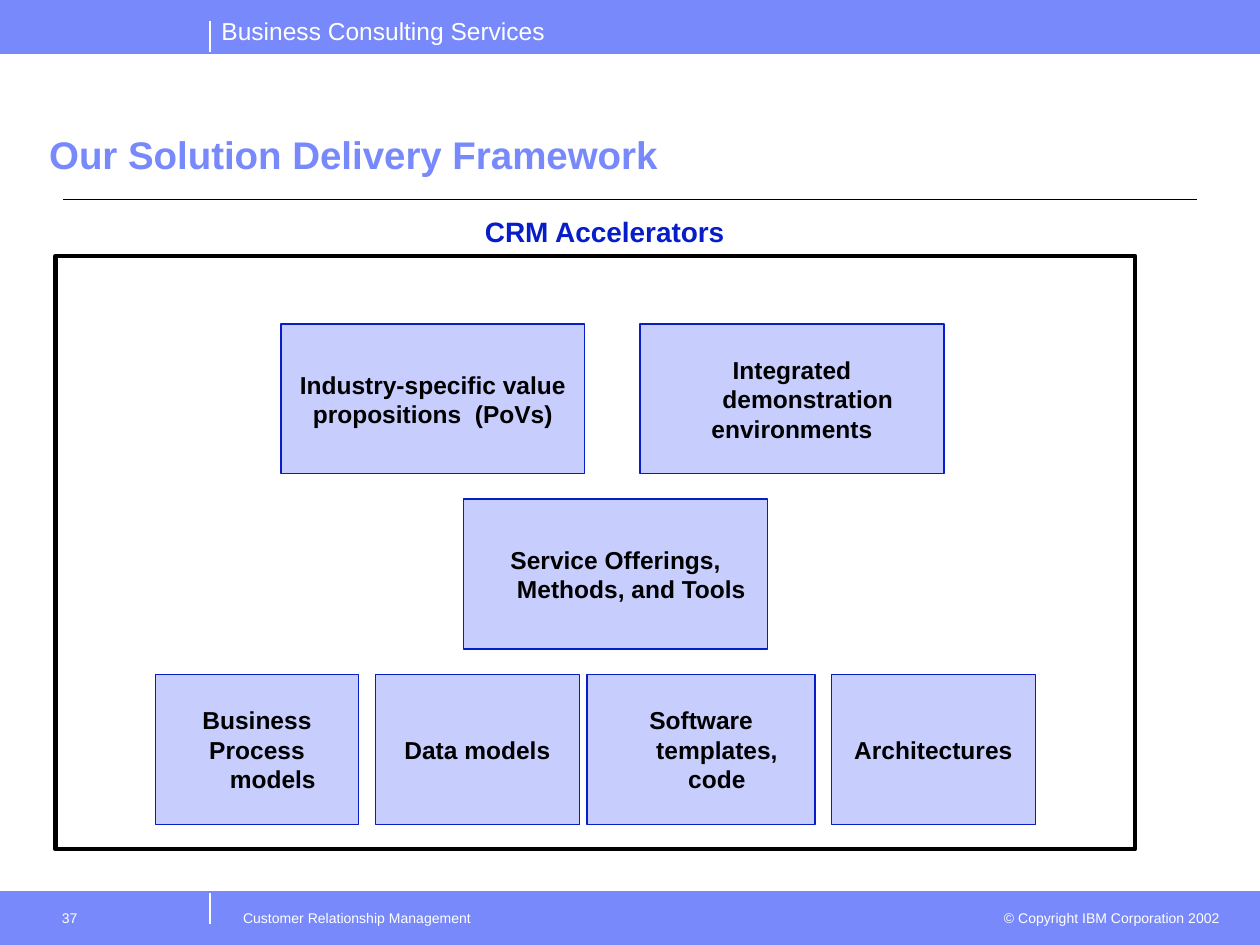
import pptx
import pptx.dml.color
import pptx.enum.shapes
import pptx.enum.text
import pptx.oxml.ns
import pptx.util

Pt = pptx.util.Pt
ALIGN = pptx.enum.text.PP_ALIGN
ANCHOR = pptx.enum.text.MSO_ANCHOR
BAND, NAVY, PALE, WHITE, BLACK = "7889FB", "061DC8", "C7CDFD", "FFFFFF", "000000"
WIDTH, HEIGHT, BAND_HEIGHT, DIVIDER_X = 720, 540, 30.24, 120


def colour(value):
    return pptx.dml.color.RGBColor.from_string(value)


def set_all(target, values):
    for name, value in values.items():
        setattr(target, name, value)


def write(frame, lines, size, color, bold=False, align=ALIGN.LEFT, anchor=ANCHOR.TOP,
          insets=(7.2, 3.6, 7.2, 3.6), wrap=True, hanging=0, spacing=None):
    """Fill a text frame, one paragraph for each line."""
    left, top, right, bottom = map(Pt, insets)
    set_all(frame, {"word_wrap": wrap, "vertical_anchor": anchor,
                    "auto_size": pptx.enum.text.MSO_AUTO_SIZE.NONE,
                    "margin_left": left, "margin_top": top,
                    "margin_right": right, "margin_bottom": bottom})
    frame.text = "\n".join(lines)
    for paragraph in frame.paragraphs:
        set_all(paragraph, {"alignment": align, "line_spacing": spacing})
        if hanging:
            properties = paragraph._p.get_or_add_pPr()
            properties.set("marL", str(Pt(hanging)))
            properties.set("indent", str(-Pt(hanging)))
        for run in paragraph.runs:
            set_all(run.font, {"name": "Arial", "size": Pt(size), "bold": bold})
            run.font.color.rgb = colour(color)


def add_label(slide, box, text, size, color, **style):
    label = slide.shapes.add_textbox(*map(Pt, box))
    write(label.text_frame, [text], size, color, **style)


def add_box(slide, box, fill, line, line_width=0.75):
    shape = slide.shapes.add_shape(pptx.enum.shapes.MSO_SHAPE.RECTANGLE, *map(Pt, box))
    shape.shadow.inherit = False
    if fill:
        shape.fill.solid()
        shape.fill.fore_color.rgb = colour(fill)
    else:
        shape.fill.background()
    shape.line.color.rgb = colour(line)
    shape.line.width = Pt(line_width)
    return shape


def add_line(slide, ends, color, width=0.75):
    line = slide.shapes.add_connector(pptx.enum.shapes.MSO_CONNECTOR.STRAIGHT, *map(Pt, ends))
    line.line.color.rgb = colour(color)
    line.line.width = Pt(width)
    properties = line._element.spPr
    properties.append(properties.makeelement(pptx.oxml.ns.qn("a:effectLst"), {}))


def add_band(slide, box, divider_offset, edge_offset):
    """Draw a full-width band with its edge line and short white divider."""
    left, top, width, _ = box
    add_box(slide, box, BAND, BAND)
    divider_top = top + divider_offset
    add_line(slide, (DIVIDER_X, divider_top + 18, DIVIDER_X, divider_top), WHITE)
    edge = top + edge_offset
    add_line(slide, (left, edge, left + width, edge), BAND, 0.5)


def add_header(slide, box):
    add_band(slide, box, 12, BAND_HEIGHT)
    add_label(slide, (119.5, box[1] + 5.8, 199.4, 24.5), "Business Consulting Services",
              14, WHITE, wrap=False)


def add_footer(slide, box):
    add_band(slide, box, 0, 0)
    top = box[1] + 5
    add_label(slide, (23.8, top, 95.8, 25.2), "37", 8, WHITE, insets=(11.5, 5, 7.2, 3.6))
    add_label(slide, (131.8, top, 432, 25.2), "Customer Relationship Management",
              8, WHITE, insets=(7.2, 5, 7.2, 3.6))
    add_label(slide, (563.8, top + 1.4, 140.4, 17.3), "© Copyright IBM Corporation 2002",
              8, WHITE, align=ALIGN.RIGHT)


def add_title(slide, box):
    title = slide.shapes.title
    set_all(title, dict(zip(("left", "top", "width", "height"), map(Pt, box))))
    write(title.text_frame, ["Our Solution Delivery Framework"], 22, BAND, bold=True,
          anchor=ANCHOR.BOTTOM, insets=(0, 3.6, 0, 3.6), spacing=0.85)
    add_line(slide, (36, 114, 684, 114), BLACK)


def add_accelerators(slide, box):
    """Draw the heading, the frame and three rows of accelerators in it."""
    left, top, _, _ = box
    add_label(slide, (left + 238.3, top - 27.4, 203, 26.6), "CRM Accelerators",
              16, NAVY, bold=True)
    rows = [
        [(128.9, 173.6, ["Industry-specific value", "propositions  (PoVs)"]),
         (334.1, 173.6, ["Integrated demonstration", "environments"])],
        [(233.3, 173.6, ["Service Offerings, Methods, and Tools"])],
        [(57, 116.4, ["Business", "Process models"]),
         (182.9, 116.4, ["Data models"]),
         (303.8, 130.3, ["Software templates, code"]),
         (443.5, 116.4, ["Architectures"])],
    ]
    for index, row in enumerate(rows):
        for offset, width, lines in row:
            place = (left + offset, top + 38.9 + index * 100.1, width, 85.7)
            write(add_box(slide, place, PALE, NAVY).text_frame, lines, 14, BLACK, bold=True,
                  align=ALIGN.CENTER, anchor=ANCHOR.MIDDLE, hanging=18)
    add_box(slide, box, None, BLACK, 2.5)


def main():
    deck = pptx.Presentation()
    set_all(deck, {"slide_width": Pt(WIDTH), "slide_height": Pt(HEIGHT)})
    slide = deck.slides.add_slide(deck.slide_layouts.get_by_name("Title Only"))
    add_header(slide, (0, 0, WIDTH, BAND_HEIGHT))
    add_footer(slide, (0, HEIGHT - BAND_HEIGHT, WIDTH, BAND_HEIGHT))
    add_title(slide, (28.1, 47.5, 673.9, 57.6))
    add_accelerators(slide, (31.7, 146.2, 617, 339.1))
    deck.save("out.pptx")


if __name__ == "__main__":
    main()
